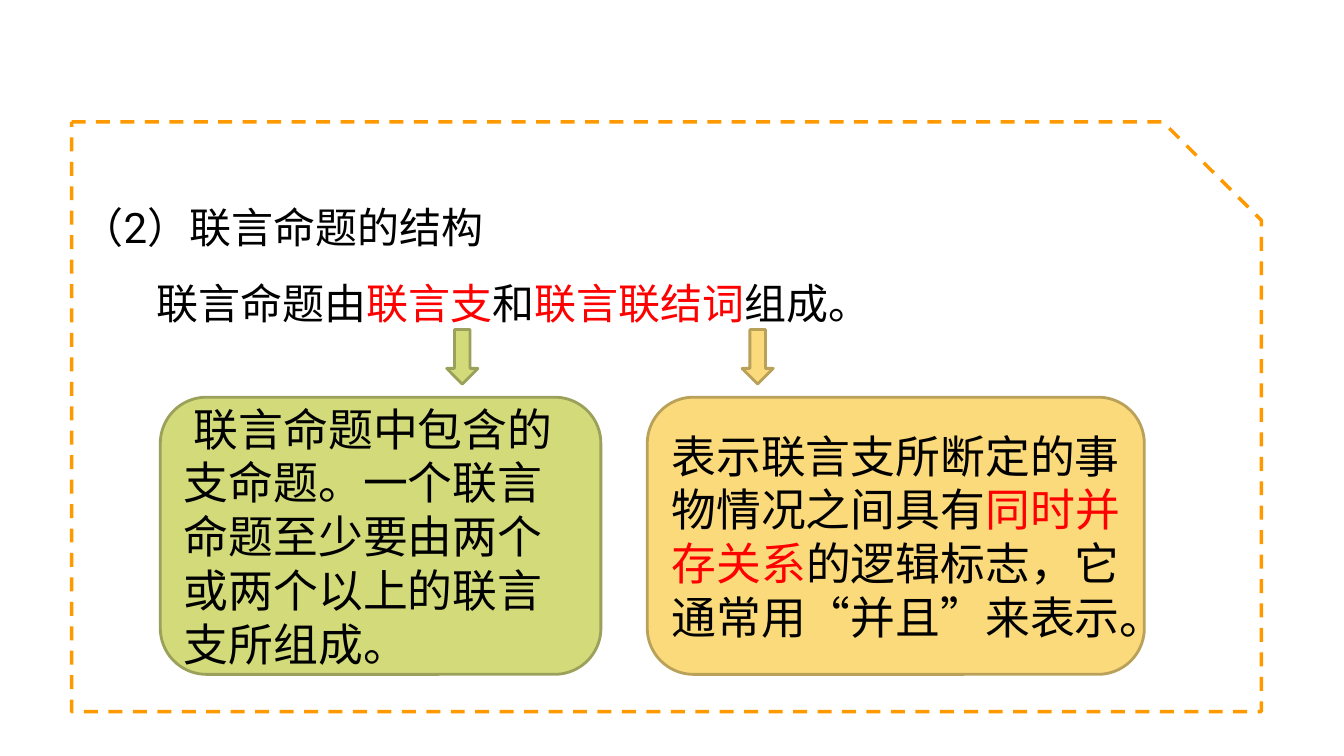
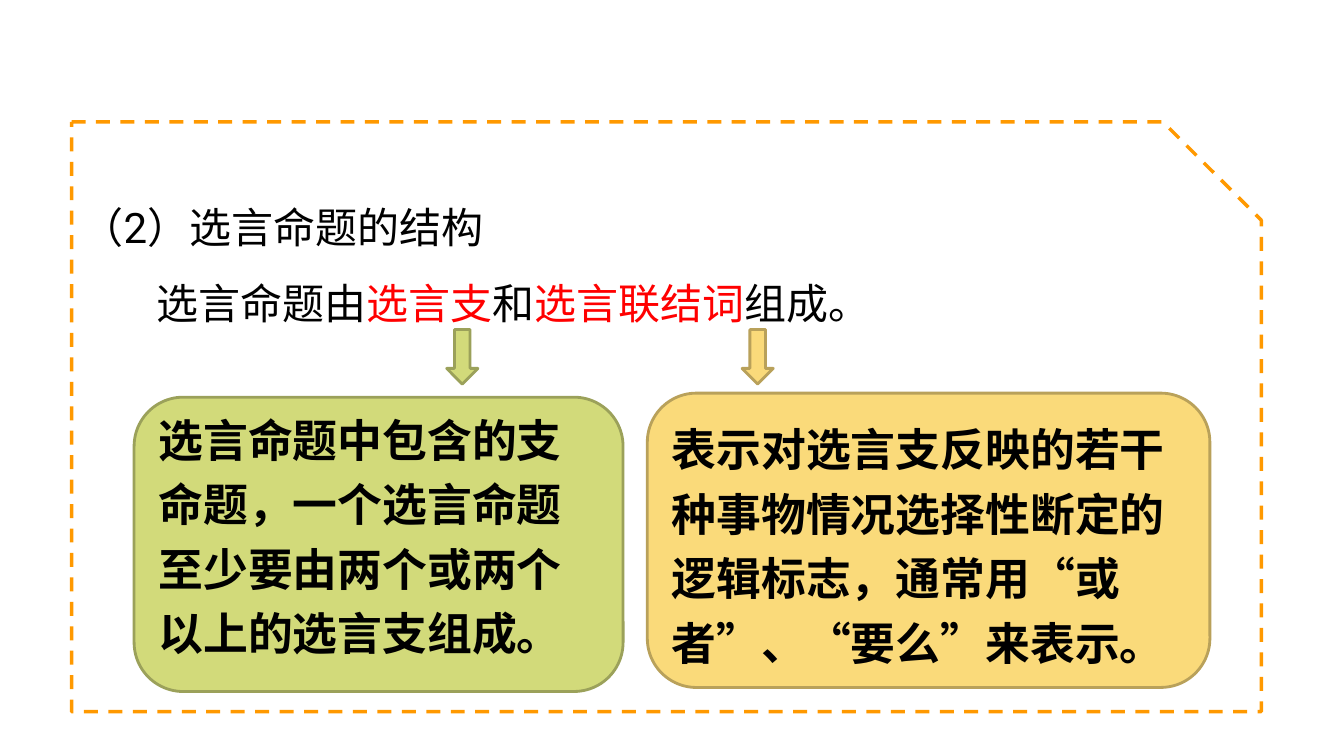
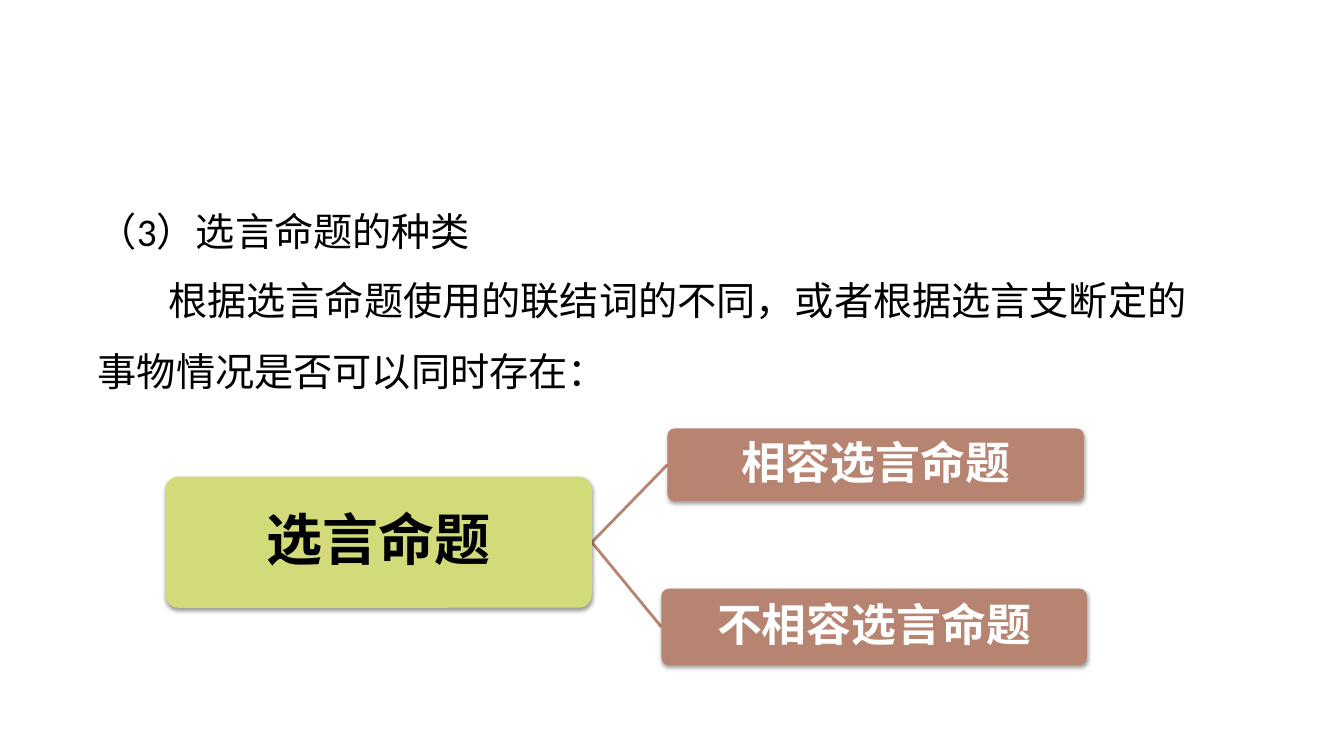
from dataclasses import dataclass

from lxml import etree
from pptx import Presentation
from pptx.dml.color import RGBColor
from pptx.enum.dml import MSO_LINE
from pptx.enum.shapes import MSO_CONNECTOR, MSO_SHAPE
from pptx.enum.text import MSO_ANCHOR, MSO_AUTO_SIZE, PP_ALIGN
from pptx.oxml.ns import qn
from pptx.util import Inches, Pt

LEFT, CENTER = PP_ALIGN.LEFT, PP_ALIGN.CENTER
TOP, MIDDLE = MSO_ANCHOR.TOP, MSO_ANCHOR.MIDDLE
NO_FIT = MSO_AUTO_SIZE.NONE
DASH = MSO_LINE.DASH
STRAIGHT = MSO_CONNECTOR.STRAIGHT
SNIPPED = MSO_SHAPE.SNIP_1_RECTANGLE
ROUNDED = MSO_SHAPE.ROUNDED_RECTANGLE
ARROW = MSO_SHAPE.DOWN_ARROW


@dataclass(frozen=True)
class Theme:
    """Colours, fonts and type sizes shared by the slides."""
    ink: str = "000000"
    white: str = "FFFFFF"
    accent: str = "FF0000"
    frame: str = "FF9900"
    green: str = "D2DA7A"
    green_line: str = "9BA15A"
    yellow: str = "FADA7A"
    yellow_line: str = "B9A15A"
    clay: str = "B88472"
    heading_font: str = "Roboto"
    body_font: str = "Calibri"
    cjk_font: str = "Noto Sans CJK SC"
    small: int = 28
    heading: int = 30
    box: int = 32
    root: int = 40


theme = Theme()


def write(shape, runs, font, size, color=theme.ink, bold=False, align=LEFT,
          anchor=MIDDLE, spacing=1.0, indent=0.0):
    """Fill a shape with one paragraph of (text, is_accented) runs."""
    frame = shape.text_frame
    for name, value in dict(word_wrap=True, auto_size=NO_FIT,
                            vertical_anchor=anchor).items():
        setattr(frame, name, value)
    para = frame.paragraphs[0]
    for name, value in dict(alignment=align, line_spacing=spacing,
                            space_before=Pt(0)).items():
        setattr(para, name, value)
    properties = para._p.get_or_add_pPr()
    properties.set("marL", "0")
    properties.set("indent", str(Inches(indent)))
    etree.SubElement(properties, qn("a:buNone"))
    for text, accented in runs:
        span = para.add_run()
        span.text = text
        for name, value in dict(name=font, size=Pt(size), bold=bold).items():
            setattr(span.font, name, value)
        span.font.color.rgb = RGBColor.from_string(theme.accent if accented else color)


def add_block(slide, kind, place, fill=None, line=None, width=2):
    """Add a preset shape with a plain fill, an outline and no shadow."""
    block = slide.shapes.add_shape(kind, *map(Inches, place))
    block.shadow.inherit = False
    if fill:
        block.fill.solid()
        block.fill.fore_color.rgb = RGBColor.from_string(fill)
    else:
        block.fill.background()
    if line:
        block.line.color.rgb = RGBColor.from_string(line)
        block.line.width = Pt(width)
    else:
        block.line.fill.background()
    return block


deck = Presentation()
deck.slide_width, deck.slide_height = Inches(13.33), Inches(7.5)

structure_text = dict(font=theme.heading_font, size=theme.heading)
kinds_text = dict(font=theme.body_font, size=theme.small)
conjunction_text = dict(font=theme.cjk_font, size=theme.box)
disjunction_text = dict(font=theme.body_font, size=theme.box, bold=True, spacing=1.2)

# Heading, sentence, their places, first-line indent and text format
pages = [
    ("（2）联言命题的结构",
     [("联言命题由", False), ("联言支", True), ("和", False),
      ("联言联结词", True), ("组成。", False)],
     (0.71, 1.7, 11.8, 0.8), (0.71, 2.45, 11.8, 0.8), 0.74, structure_text),
    ("（2）选言命题的结构",
     [("选言命题由", False), ("选言支", True), ("和", False),
      ("选言联结词", True), ("组成。", False)],
     (0.71, 1.7, 11.8, 0.8), (0.71, 2.45, 11.8, 0.8), 0.74, structure_text),
    ("（3）选言命题的种类",
     [("根据选言命题使用的联结词的不同，或者根据选言支断定的事物情况是否可以同时存在：", False)],
     (0.87, 1.77, 11.06, 0.75), (0.87, 2.46, 11.06, 1.5), 0.7, kinds_text),
]
slides = []
for heading, sentence, title_place, body_place, indent, style in pages:
    slide = deck.slides.add_slide(deck.slide_layouts[1])
    slides.append(slide)
    title, body = slide.placeholders
    for holder, place in ((title, title_place), (body, body_place)):
        holder.left, holder.top, holder.width, holder.height = map(Inches, place)
    write(title, [(heading, False)], anchor=TOP, spacing=1.5, **style)
    write(body, sentence, anchor=TOP, spacing=1.5, indent=indent, **style)

# Slides 1 and 2: dashed frame, then an arrow and an explanation for each part
colors = [(theme.green, theme.green_line), (theme.yellow, theme.yellow_line)]
arrow_lefts = (4.43, 7.36)
explanations = [
    [((1.59, 3.94, 4.37, 2.75), 0.05, dict(indent=0.1, **conjunction_text),
      [("联言命题中包含的支命题。一个联言命题至少要由两个或两个以上的联言支所组成。", False)]),
     ((6.42, 3.94, 4.93, 2.75), 0.05, dict(align=CENTER, **conjunction_text),
      [("表示联言支所断定的事物情况之间具有", False), ("同时并存关系", True),
       ("的逻辑标志，它通常用“并且”来表示。", False)])],
    [((1.33, 3.94, 4.85, 2.92), 0.32, disjunction_text,
      [("选言命题中包含的支命题，一个选言命题至少要由两个或两个以上的选言支组成。", False)]),
     ((6.42, 3.9, 5.58, 2.92), 0.05, disjunction_text,
      [("表示对选言支反映的若干种事物情况选择性断定的逻辑标志，通常用“或者”、“要么”来表示。",
        False)])],
]
for slide, parts in zip(slides, explanations):
    frame = add_block(slide, SNIPPED, (0.71, 1.21, 11.8, 5.85), line=theme.frame, width=2.5)
    frame.line.dash_style = DASH
    for (fill, line), arrow_left, part in zip(colors, arrow_lefts, parts):
        place, bottom_margin, style, runs = part
        add_block(slide, ARROW, (arrow_left, 3.27, 0.31, 0.54), fill, line)
        box = add_block(slide, ROUNDED, place, fill, line)
        box.text_frame.margin_bottom = Inches(bottom_margin)
        write(box, runs, **style)

# Slide 3: a tree with one root and two branches
slide = slides[2]
root_place = (1.64, 4.73, 4.23, 1.3)
branches = [("相容选言命题", (6.62, 4.25, 4.13, 0.72)),
            ("不相容选言命题", (6.56, 5.84, 4.22, 0.76))]
root_left, root_top, root_width, root_height = root_place
for text, (left, top, width, height) in branches:
    link = slide.shapes.add_connector(
        STRAIGHT, Inches(root_left + root_width), Inches(root_top + root_height / 2),
        Inches(left), Inches(top + height / 2))
    link.line.color.rgb = RGBColor.from_string(theme.clay)
    link.line.width = Pt(2)
    etree.SubElement(link._element.spPr, qn("a:effectLst"))

nodes = [("选言命题", root_place, theme.green, theme.ink, theme.root)]
nodes += [(text, place, theme.clay, theme.white, theme.box) for text, place in branches]
for text, place, fill, color, size in nodes:
    node = add_block(slide, ROUNDED, place, fill)
    node.adjustments[0] = 0.1
    effects = node._element.spPr.find(qn("a:effectLst"))
    shadow = etree.SubElement(effects, qn("a:outerShdw"), blurRad=str(Pt(3.1)),
                              dist=str(Pt(1.6)), dir="5400000", rotWithShape="0")
    shade = etree.SubElement(shadow, qn("a:srgbClr"), val=theme.ink)
    etree.SubElement(shade, qn("a:alpha"), val="38000")
    write(node, [(text, False)], theme.body_font, size, color, bold=True,
          align=CENTER, spacing=0.9)

deck.save("out.pptx")
